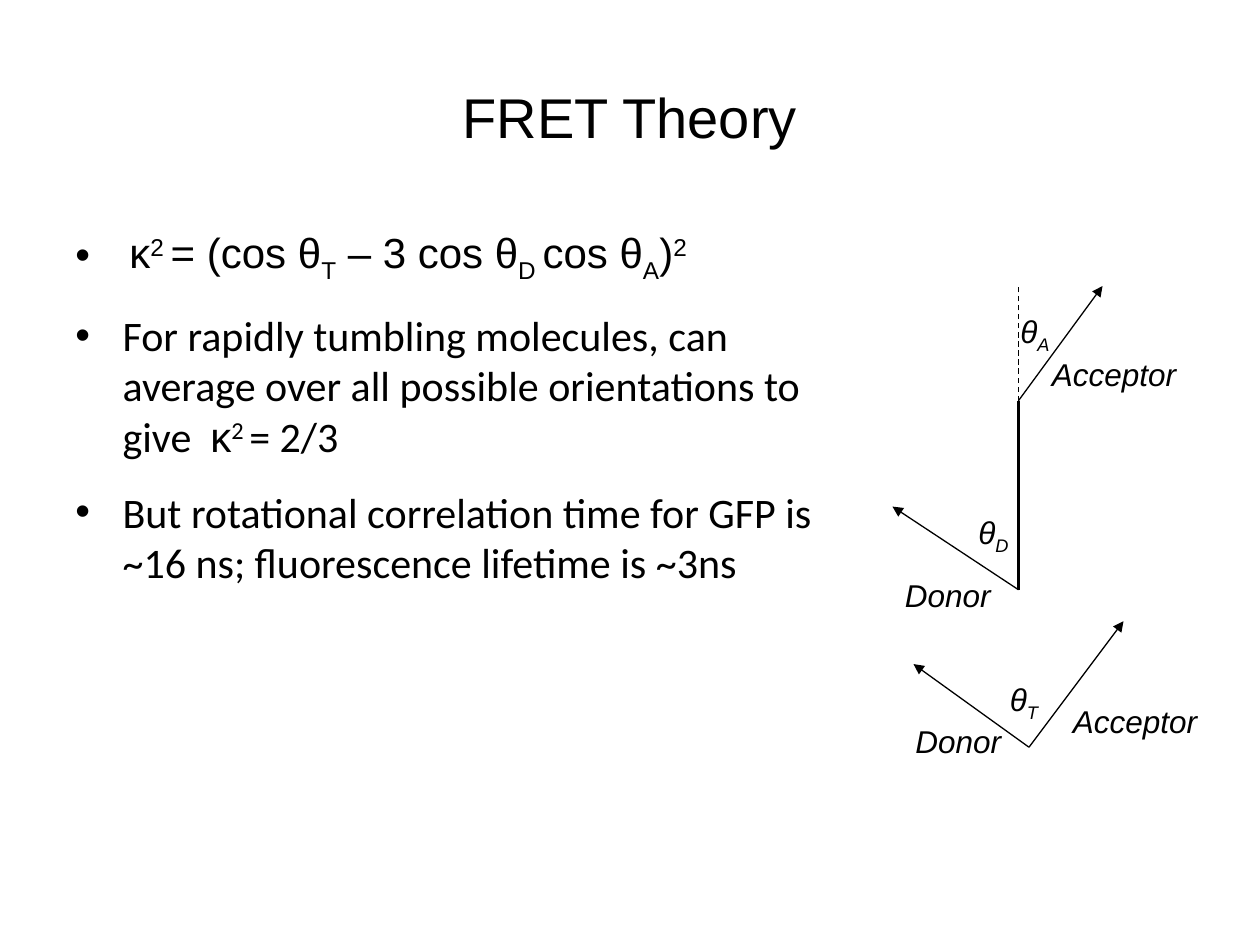
from pptx import Presentation
from pptx.dml.color import RGBColor
from pptx.enum.dml import MSO_LINE
from pptx.enum.shapes import MSO_CONNECTOR
from pptx.enum.text import MSO_ANCHOR, MSO_AUTO_SIZE, PP_ALIGN
from pptx.oxml.ns import qn
from pptx.util import Pt
from lxml import etree

BLACK = RGBColor(0x00, 0x00, 0x00)
STRAIGHT = MSO_CONNECTOR.STRAIGHT
DASH = MSO_LINE.DASH
CENTER = PP_ALIGN.CENTER
MIDDLE, TOP = MSO_ANCHOR.MIDDLE, MSO_ANCHOR.TOP
FIT_SHAPE = MSO_AUTO_SIZE.SHAPE_TO_FIT_TEXT
SUB, SUPER = -25, 30
HEADING_FONT, BODY_FONT = "Arial", "Calibri"


def add_run(paragraph, text, size=24, font=HEADING_FONT, italic=False, baseline=0):
    run = paragraph.add_run()
    run.text = text
    run.font.size = Pt(size)
    run.font.name = font
    run.font.italic = italic
    run.font.color.rgb = BLACK
    if baseline:
        run._r.get_or_add_rPr().set("baseline", str(baseline * 1000))


class SlideBuilder:
    label_size = 18
    bullet_indent = 27
    bullet_gap = 14.5

    def __init__(self, slide):
        self.slide = slide

    def text_frame(self, left, top, width, height, anchor=TOP, wrap=True):
        box = self.slide.shapes.add_textbox(Pt(left), Pt(top), Pt(width), Pt(height))
        frame = box.text_frame
        frame.word_wrap = wrap
        frame.vertical_anchor = anchor
        return frame

    def title(self, text):
        paragraph = self.text_frame(36, 21.6, 648, 90, anchor=MIDDLE).paragraphs[0]
        paragraph.alignment = CENTER
        add_run(paragraph, text, size=32)

    def bullets(self, left, top, width, height, items):
        frame = self.text_frame(left, top, width, height)
        for index, runs in enumerate(items):
            paragraph = frame.add_paragraph() if index else frame.paragraphs[0]
            properties = paragraph._p.get_or_add_pPr()
            properties.set("marL", str(Pt(self.bullet_indent)))
            properties.set("indent", str(-Pt(self.bullet_indent)))
            etree.SubElement(properties, qn("a:buFont")).set("typeface", HEADING_FONT)
            etree.SubElement(properties, qn("a:buChar")).set("char", "•")
            paragraph.space_before = Pt(self.bullet_gap if index else 0)
            for text, font, baseline in runs:
                add_run(paragraph, text, font=font, baseline=baseline)

    def label(self, left, top, width, text, subscript=""):
        frame = self.text_frame(left, top, width, 29, wrap=False)
        frame.auto_size = FIT_SHAPE
        paragraph = frame.paragraphs[0]
        add_run(paragraph, text, size=self.label_size, italic=True)
        if subscript:
            add_run(paragraph, subscript, size=self.label_size, italic=True, baseline=SUB)

    def line(self, start, end, width=0.75, dash=None, arrow=False):
        connector = self.slide.shapes.add_connector(
            STRAIGHT, *(Pt(value) for value in start + end))
        connector.line.color.rgb = BLACK
        connector.line.width = Pt(width)
        if dash:
            connector.line.dash_style = dash
        if arrow:
            outline = connector.line._get_or_add_ln()
            etree.SubElement(outline, qn("a:tailEnd")).set("type", "triangle")
        etree.SubElement(connector._element.spPr, qn("a:effectLst"))


def main():
    presentation = Presentation()
    presentation.slide_width, presentation.slide_height = Pt(720), Pt(540)
    slide = presentation.slides.add_slide(presentation.slide_layouts[6])
    builder = SlideBuilder(slide)

    # Title and bullets
    builder.title("FRET Theory")
    equation = [
        (" ", SUB), ("κ", 0), ("2 ", SUPER), ("= (cos θ", 0), ("T", SUB),
        (" – 3 cos θ", 0), ("D ", SUB), ("cos θ", 0), ("A", SUB), (")", 0), ("2", SUPER),
    ]
    builder.bullets(36, 126, 462, 378, [
        [(text, HEADING_FONT, baseline) for text, baseline in equation],
        [("For rapidly tumbling molecules, can average over all possible "
          "orientations to give  ", BODY_FONT, 0),
         ("κ", HEADING_FONT, 0), ("2 ", BODY_FONT, SUPER), ("= 2/3", BODY_FONT, 0)],
        [("But rotational correlation time for GFP is ~16 ns; "
          "fluorescence lifetime is ~3ns", BODY_FONT, 0)],
    ])

    # Dipoles on the axis that joins them
    acceptor, donor = (582, 229), (582, 337)
    builder.line(acceptor, donor, width=2)
    builder.line(acceptor, (630, 163.5), arrow=True)
    builder.line(donor, (510, 289.5), arrow=True)
    builder.line(acceptor, (582, 163.5), dash=DASH)

    # Dipoles moved to a common origin
    origin = (588, 427)
    builder.line(origin, (522, 379.5), arrow=True)
    builder.line(origin, (642, 355), arrow=True)

    # Angle and dipole labels
    for left, top, subscript in [(552, 289.5, "D"), (576, 175, "A"), (570, 385, "T")]:
        builder.label(left, top, 32, "θ", subscript)
    for left, top in [(510, 325.5), (516, 409)]:
        builder.label(left, top, 63.5, "Donor")
    for left, top in [(594, 199.5), (606, 397.5)]:
        builder.label(left, top, 86, "Acceptor")

    presentation.save("out.pptx")


if __name__ == "__main__":
    main()
